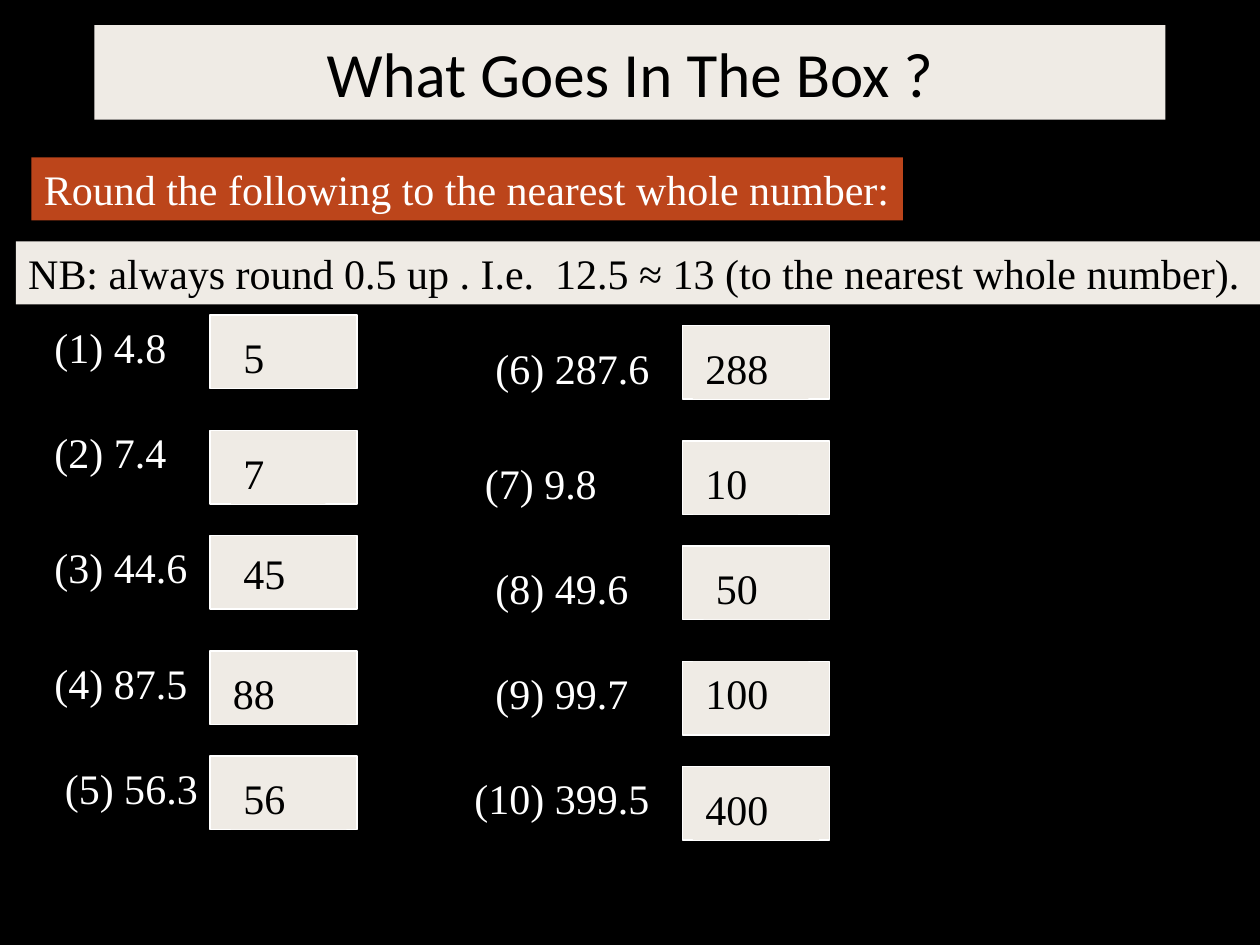
from pptx import Presentation
from pptx import util as u
from pptx.dml.color import RGBColor
from pptx.enum import shapes, text

COLOURS = {"page": "000000", "cream": "EFEBE5", "rust": "BC451B",
           "dark": "000000", "light": "FFFFFF"}
BODY = {"name": "Times New Roman", "size": u.Pt(24)}
HEADING = {"name": "Calibri", "size": u.Pt(36)}
ROW_TOPS = (0, 11, 21, 32, 42)
TEXT_HEIGHT = 6

LEFT_ROWS = (
    ("(1) 4.8", (0, 0, 15), "5", (2, 1, 9), None),
    ("(2) 7.4", (0, -1, 15), "7", (2, 1, 9), "cream"),
    ("(3) 44.6", (0, 0, 18), "45", (2, 0.6, 9), "cream"),
    ("(4) 87.5", (0, 0, 18), "88", (1, 1, 12), "cream"),
    ("(5) 56.3", (1, 0, 18), "56", (2, 1, 11), "cream"),
)
RIGHT_ROWS = (
    ("(6) 287.6", (0, 1, 18), "288", (1, 1, 11), "cream"),
    ("(7) 9.8", (-1, 1, 18), "10", (1, 1, 10), "cream"),
    ("(8) 49.6", (0, 1, 18), "50", (2, 1, 10), "cream"),
    ("(9) 99.7", (0, 0, 18), "100", (1, 0, 11), "cream"),
    ("(10) 399.5", (-2, 0, 21), "400", (1, 1, 12), "cream"),
)


def grid(count):
    return u.Cm(count * 2.54 / 12)


def colour(name):
    return RGBColor.from_string(COLOURS[name])


def add_box(page, box, fill, line=None):
    shape = page.shapes.add_shape(shapes.MSO_SHAPE.RECTANGLE, *map(grid, box))
    shape.shadow.inherit = False
    shape.fill.solid()
    shape.fill.fore_color.rgb = colour(fill)
    if line:
        shape.line.color.rgb = colour(line)
        shape.line.width = u.Pt(0.75)
    else:
        shape.line.fill.background()
    return shape


def add_text(page, box, words, ink, fill=None, font=BODY,
             align=text.PP_ALIGN.LEFT, anchor=text.MSO_ANCHOR.TOP):
    if fill:
        shape = add_box(page, box, fill)
    else:
        shape = page.shapes.add_textbox(*map(grid, box))
    frame = shape.text_frame
    frame.word_wrap = True
    frame.vertical_anchor = anchor
    para = frame.paragraphs[0]
    para.alignment = align
    span = para.add_run()
    span.text = words
    for key, value in font.items():
        setattr(span.font, key, value)
    span.font.color.rgb = colour(ink)


def add_title(page, box):
    add_text(page, box, "What Goes In The Box ?", "dark", "cream", HEADING,
             text.PP_ALIGN.CENTER, text.MSO_ANCHOR.MIDDLE)


def add_instructions(page, box):
    left, top, width, height = box
    add_text(page, (left + 1.5, top, 83, height),
             "Round the following to the nearest whole number:", "light", "rust")
    add_text(page, (left, top + 8, width, height),
             "NB: always round 0.5 up . I.e.  12.5 ≈ 13 (to the nearest whole number).",
             "dark", "cream")


def add_exercises(page, box, rows):
    left, top, width, height = box
    answer_width, answer_height = 14, 7
    answer_left = left + width - answer_width
    for row_top, row in zip(ROW_TOPS, rows):
        question, (dx, dy, question_width), answer, (ax, ay, text_width), fill = row
        y = top + row_top
        add_text(page, (left + dx, y + dy, question_width, TEXT_HEIGHT),
                 question, "light")
        add_box(page, (answer_left, y, answer_width, answer_height), "cream", "light")
        add_text(page, (answer_left + ax, y + ay, text_width, TEXT_HEIGHT),
                 answer, "dark", fill)


def main():
    deck = Presentation()
    deck.slide_width, deck.slide_height = u.Cm(25.4), u.Cm(19.05)
    page = deck.slides.add_slide(deck.slide_layouts[6])
    page.background.fill.solid()
    page.background.fill.fore_color.rgb = colour("page")
    add_title(page, (9, 2.4, 102, 9))
    add_instructions(page, (1.5, 15, 118.5, TEXT_HEIGHT))
    add_exercises(page, (4, 30, 30, 49), LEFT_ROWS)
    add_exercises(page, (46, 31, 33, 49), RIGHT_ROWS)
    deck.save("out.pptx")


if __name__ == "__main__":
    main()
